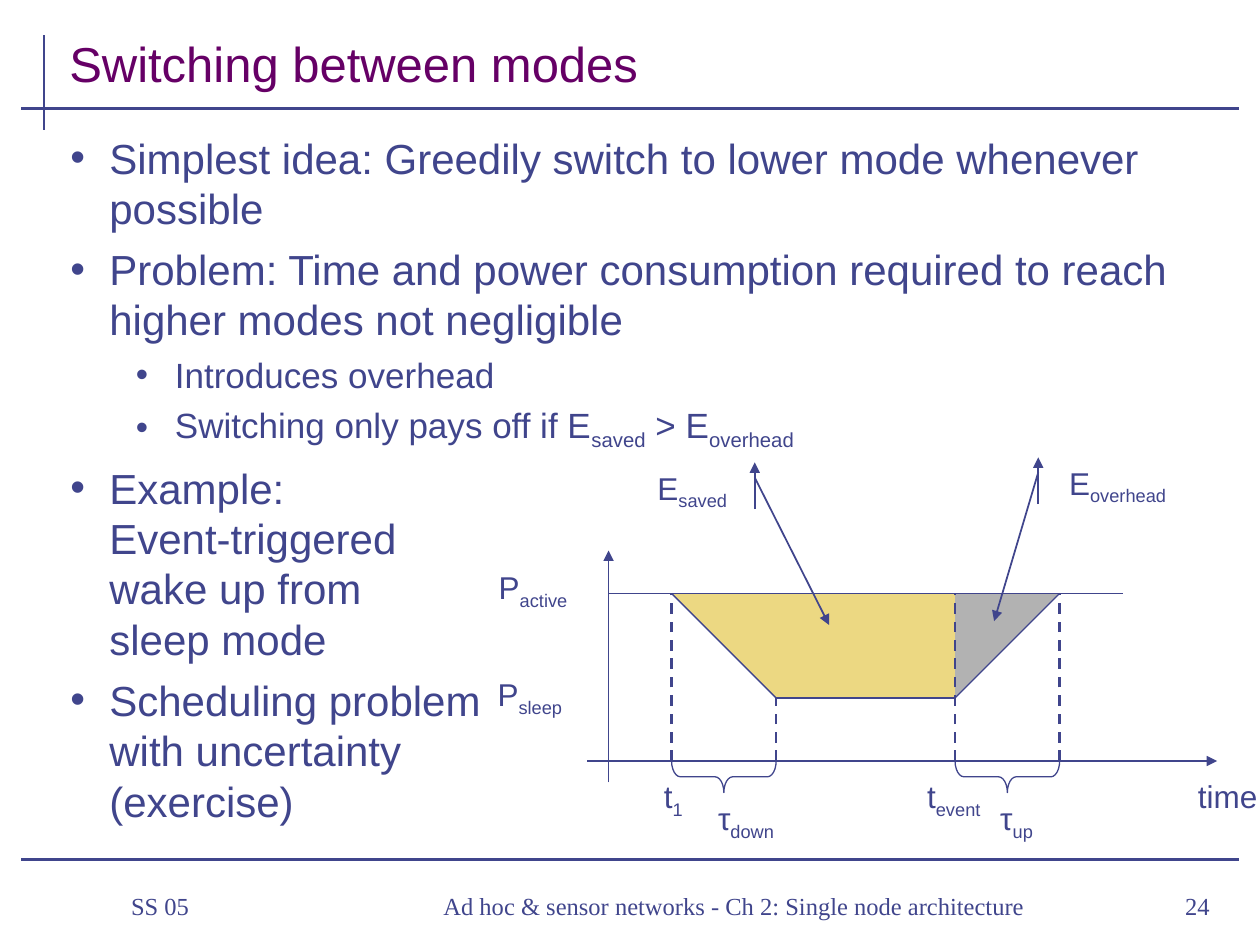
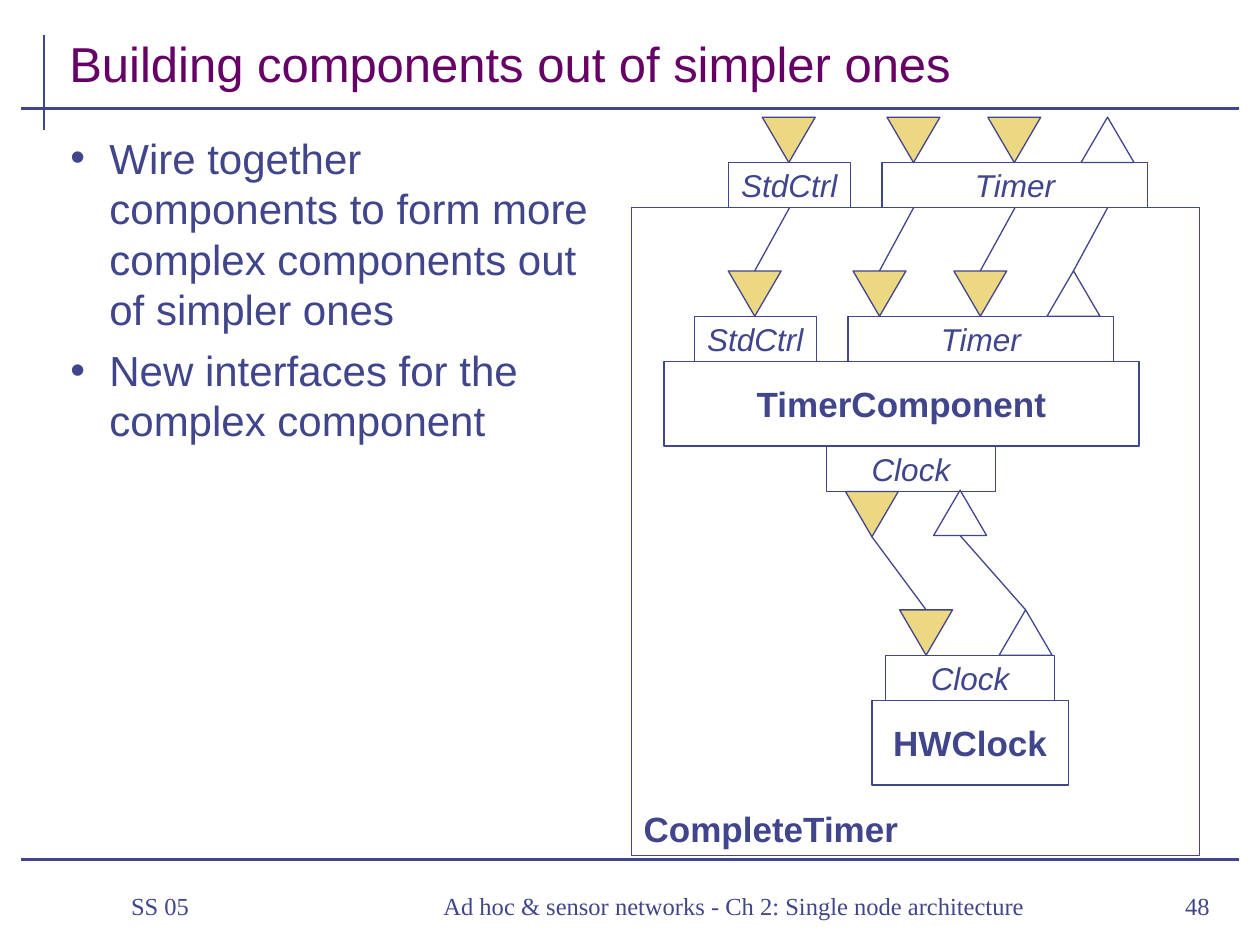
from dataclasses import dataclass
from lxml import etree
from pptx import Presentation
from pptx import util as u
from pptx.dml.color import RGBColor
from pptx.enum import dml, shapes, text
from pptx.oxml.ns import qn


@dataclass(frozen=True)
class Theme:
    ink: str = "40458C"
    title: str = "660066"
    gold: str = "ECD882"
    grey: str = "B2B2B2"
    sans: str = "Arial"
    serif: str = "Times New Roman"
    title_size: int = 28
    body_size: int = 24
    sub_size: int = 20
    label_size: int = 18
    foot_size: int = 14
    thin: float = 0.75
    medium: float = 1
    thick: float = 1.5


T = Theme()
A = text.PP_ALIGN
V = text.MSO_ANCHOR
S = shapes.MSO_SHAPE

prs = Presentation()
prs.slide_width, prs.slide_height = u.Inches(10), u.Inches(7.5)
col, row = prs.slide_width / 10, prs.slide_height / 7.5


def box(sl, kind, x, y, w, h, paras="", size=T.label_size, color=T.ink, font=T.sans, fill=None,
        align=A.LEFT, anchor=V.TOP, wrap=False, left=0.1, bold=False, italic=False):
    area = [int(v) for v in (x * col, y * row, w * col, h * row)]
    if kind == "title":
        sp = sl.shapes.title
        sp.left, sp.top, sp.width, sp.height = area
    elif kind == "text":
        sp = sl.shapes.add_textbox(*area)
    else:
        sp = sl.shapes.add_shape(kind, *area)
        sp.shadow.inherit = False
        sp.line.color.rgb = RGBColor.from_string(T.ink)
        sp.line.width = u.Pt(T.thin)
        if fill:
            sp.fill.solid()
            sp.fill.fore_color.rgb = RGBColor.from_string(fill)
        else:
            sp.fill.background()
    if not paras:
        return sp
    tf = sp.text_frame
    tf.auto_size = text.MSO_AUTO_SIZE.NONE
    tf.word_wrap, tf.vertical_anchor = wrap, anchor
    tf.margin_left, tf.margin_right = int(left * col), u.Inches(0.1)
    tf.margin_top = tf.margin_bottom = u.Inches(0.05)
    items = [(0, paras)] if isinstance(paras, str) else paras
    for i, (level, words) in enumerate(items):
        p = tf.add_paragraph() if i else tf.paragraphs[0]
        p.alignment = align
        if level:
            p.level = level - 1
            p.space_before = u.Pt((6 if level == 1 else 5) if i else 0)
            pPr = p._p.get_or_add_pPr()
            pPr.set("marL", str(u.Inches(0.31 if level == 1 else 0.83)))
            pPr.set("indent", str(-u.Inches(0.31)))
            clr = etree.SubElement(pPr, qn("a:buClr"))
            etree.SubElement(clr, qn("a:srgbClr")).set("val", color)
            etree.SubElement(pPr, qn("a:buFont")).set("typeface", font)
            etree.SubElement(pPr, qn("a:buChar")).set("char", "•")
        for j, part in enumerate(words.split("|")):
            for k, piece in enumerate(part.split("\n")):
                if k:
                    p.add_line_break()
                r = p.add_run()
                r.text = piece
                r.font.name, r.font.bold, r.font.italic = font, bold, italic
                r.font.size = u.Pt(T.sub_size if level == 2 else size)
                r.font.color.rgb = RGBColor.from_string(color)
                if j % 2:
                    r._r.get_or_add_rPr().set("baseline", "-25000")
    return sp


def line(sl, x1, y1, x2, y2, width=T.thin, dash=False, arrow=False):
    c = sl.shapes.add_connector(shapes.MSO_CONNECTOR.STRAIGHT, int(x1 * col), int(y1 * row),
                                int(x2 * col), int(y2 * row))
    c.line.color.rgb = RGBColor.from_string(T.ink)
    c.line.width = u.Pt(width)
    if dash:
        c.line.dash_style = dml.MSO_LINE.DASH
    if arrow:
        etree.SubElement(c.line._get_or_add_ln(), qn("a:tailEnd")).set("type", "triangle")
    etree.SubElement(c._element.spPr, qn("a:effectLst"))
    return c


pages = [
    ("Switching between modes", "24", 9.28, [
        (1, "Simplest idea: Greedily switch to lower mode whenever possible"),
        (1, "Problem: Time and power consumption required to reach higher modes not negligible"),
        (2, "Introduces overhead"),
        (2, "Switching only pays off if E|saved| > E|overhead"),
        (1, "Example:\nEvent-triggered\nwake up from\nsleep mode"),
        (1, "Scheduling problem\nwith uncertainty\n(exercise)")]),
    ("Building components out of simpler ones", "48", 4.35, [
        (1, "Wire together components to form more complex components out of simpler ones"),
        (1, "New interfaces for the complex component")]),
]
for title, number, body_width, bullets in pages:
    sl = prs.slides.add_slide(prs.slide_layouts[5])
    line(sl, 0.35, 0.28, 0.35, 1.03, T.thick)
    for y in (0.86, 6.82):
        line(sl, 0.17, y, 9.83, y, T.thick)
    box(sl, "title", 0.45, 0.16, 9.33, 0.62, title, T.title_size, T.title, anchor=V.BOTTOM, wrap=True)
    box(sl, "text", 0.46, 1, body_width, 5.68, bullets, T.body_size, wrap=True)
    for x, w, words, align in ((0.7, 1.74, "SS 05", A.LEFT), (8.97, 0.73, number, A.RIGHT),
                               (2.6, 6.21, "Ad hoc & sensor networks - Ch 2: Single node architecture", A.CENTER)):
        box(sl, "text", x, 6.93, w, 0.52, words, T.foot_size, font=T.serif,
            align=align, anchor=V.MIDDLE, wrap=True, left=0.34)

modes, components = prs.slides

t1, asleep, event, awake = 5.33, 6.16, 7.58, 8.41
active_y, sleep_y, time_y = 4.71, 5.54, 6.04
saved = [(t1, active_y), (asleep, sleep_y), (event, sleep_y), (event, active_y)]
overhead = [(event, active_y), (event, sleep_y), (awake, active_y)]
for points, color in ((saved, T.gold), (overhead, T.grey)):
    corners = [(int(x * col), int(y * row)) for x, y in points]
    fb = modes.shapes.build_freeform(*corners[0])
    fb.add_line_segments(corners[1:], close=True)
    sp = fb.convert_to_shape()
    sp.shadow.inherit = False
    sp.fill.solid()
    sp.fill.fore_color.rgb = RGBColor.from_string(color)
    sp.line.fill.background()

line(modes, 4.83, 6.21, 4.83, 4.37, arrow=True)
line(modes, 4.66, time_y, 9.66, time_y, arrow=True)
line(modes, 4.83, active_y, 8.91, active_y)
profile = saved[:3] + [(awake, active_y)]
for start, end in zip(profile, profile[1:]):
    line(modes, *start, *end)
for x, top in ((t1, active_y), (asleep, sleep_y), (event, active_y), (awake, active_y)):
    line(modes, x, time_y, x, top, T.thick, dash=True)
for x, y, w, words in ((3.86, 4.46, 0.74, "P|active"), (3.85, 5.31, 0.71, "P|sleep"),
                       (5.17, 6.12, 0.35, "t|1"), (7.26, 6.12, 0.62, "t|event"),
                       (9.41, 6.12, 0.67, "time"), (5.6, 6.29, 0.65, "τ|down"),
                       (7.84, 6.29, 0.47, "τ|up")):
    box(modes, "text", x, y, w, 0.44, words)
for x in (t1, event):
    sp = box(modes, S.RIGHT_BRACE, x + 0.29, 5.75, 0.25, 0.83)
    sp.rotation = 90
    sp.adjustments[0] = 0.28
for x, y, w, words, stem, tip_x, tip_y in ((5.08, 3.67, 0.83, "E|saved", 5.99, 6.58, 4.96),
                                           (8.33, 3.63, 1.08, "E|overhead", 8.24, 7.89, 4.93)):
    box(modes, "text", x, y, w, 0.37, words, align=A.CENTER)
    line(modes, stem, y + 0.37, stem, y, T.medium, arrow=True)
    line(modes, stem, y + 0.12, tip_x, tip_y, T.medium, arrow=True)

port_w, port_h = 0.42, 0.36
box(components, S.RECTANGLE, 5.01, 1.65, 4.51, 5.14, "CompleteTimer", T.sub_size, anchor=V.BOTTOM, bold=True)
for x, y, w, name in ((5.27, 2.87, 3.77, "TimerComponent"), (6.92, 5.56, 1.56, "HWClock")):
    box(components, S.RECTANGLE, x, y, w, 0.67, name, T.sub_size,
        align=A.CENTER, anchor=V.MIDDLE, bold=True)

outer, inner = (5.78, 0.93), (5.51, 2.15)
ports = [(0.27, True), (1.26, True), (2.06, True), (2.8, False)]
interfaces = [(6.56, 3.54, 1.34, "Clock"), (7.03, 5.2, 1.34, "Clock")]
triangles = [(6.71, 3.9, True), (7.41, 3.89, False), (7.14, 4.84, True), (7.93, 4.84, False)]
for x, y in (outer, inner):
    interfaces += [(x, y + port_h, 0.97, "StdCtrl"), (x + 1.22, y + port_h, 2.11, "Timer")]
    triangles += [(x + dx, y, down) for dx, down in ports]
frames = [box(components, S.RECTANGLE, x, y, w, port_h, name, align=A.CENTER, anchor=V.MIDDLE, italic=True)
          for x, y, w, name in interfaces]
for x, y, down in triangles:
    sp = box(components, S.ISOSCELES_TRIANGLE, x, y, port_w, port_h, fill=T.gold if down else None)
    sp.rotation = 180 if down else 0

wires = [line(components, outer[0] + dx + port_w / 2, 1.65, inner[0] + dx + port_w / 2, inner[1])
         for dx, down in ports]
wires[0].begin_connect(frames[2], 2)
wires[2].begin_connect(frames[3], 2)
for (x1, y1, _), (x2, y2, _) in zip(triangles[:2], triangles[2:4]):
    line(components, x1 + port_w / 2, y1 + port_h, x2 + port_w / 2, y2)

prs.save("out.pptx")
